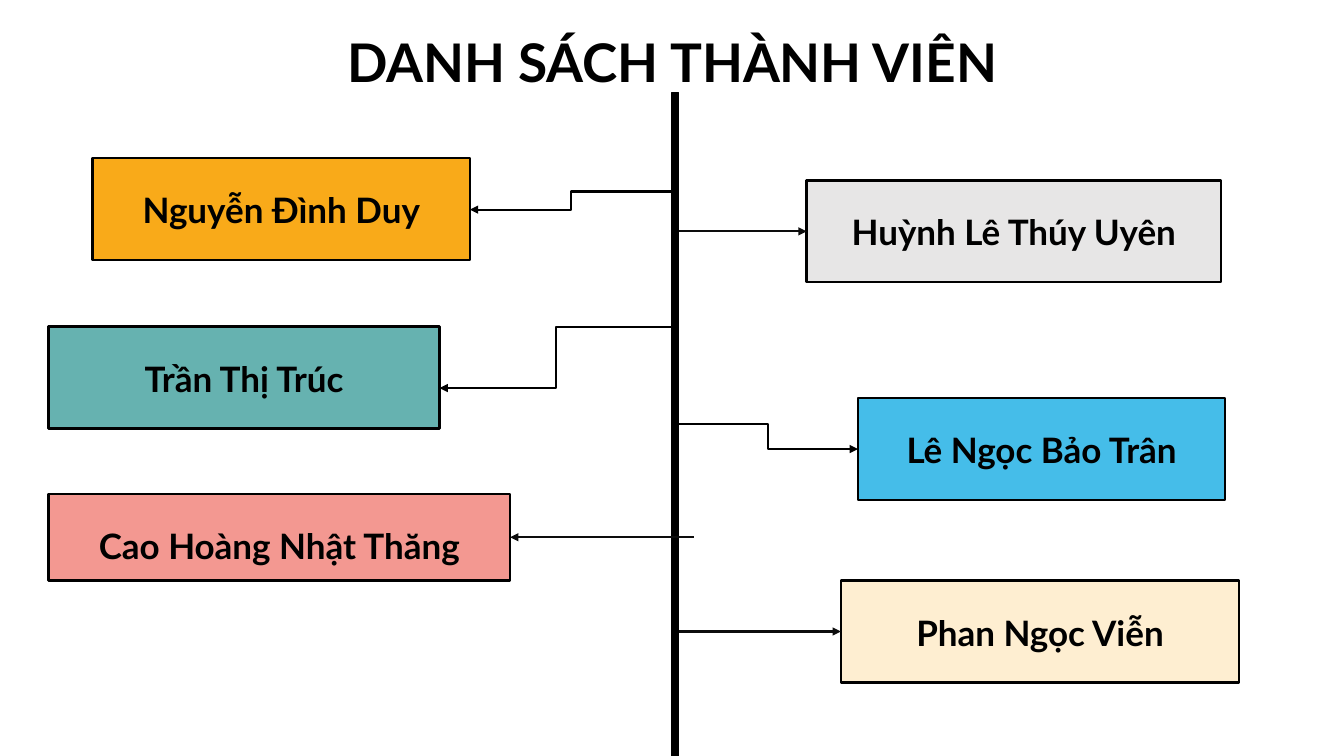
from dataclasses import dataclass

import pptx
import pptx.dml.color
import pptx.enum.shapes
import pptx.enum.text
import pptx.oxml
import pptx.oxml.ns
import pptx.util

SLIDE_WIDTH = pptx.util.Inches(13.33)
SLIDE_HEIGHT = pptx.util.Inches(7.5)
LEFT_SIDE, RIGHT_SIDE = 1, 3


@dataclass(frozen=True)
class Theme:
    font: str = "Lato"
    title_size: float = 38
    name_size: float = 25
    ink: str = "000000"
    straight_arrow: str = "0D0D0D"
    card_border: float = 1.75
    arrow_width: float = 1.5
    spine_border: float = 1
    line_spacing: float = 0.9


@dataclass(frozen=True)
class Member:
    """Card box in percent of the slide; bent arrows give both heights."""
    name: str
    fill: str
    box: tuple
    bent: tuple = ()
    start_x: float = 0


THEME = Theme()
TITLE_BOX = (6.9, -6.27, 86.27, 19.33)
SPINE_BOX = (50, 12.27, 0.5, 87.73)
CARD_HEIGHT = 13.47
BODY_MEMBER = Member("Lê Ngọc Bảo Trân", "45BDE9",
                     (63.84, 52.67, 27.31, CARD_HEIGHT), (56.13, 59.4))
MEMBERS = [
    Member("Trần Thị Trúc", "66B2B0", (3.6, 43.2, 29.11, CARD_HEIGHT), (43.2, 51.33)),
    Member("Cao Hoàng Nhật Thăng", "F39891", (3.6, 65.33, 34.36, 11.47), start_x=51.61),
    Member("Nguyễn Đình Duy", "F9AA19", (6.9, 20.93, 28.06, CARD_HEIGHT), (25.33, 27.73)),
    Member("Phan Ngọc Viễn", "FEEED1", (62.57, 76.8, 29.63, CARD_HEIGHT)),
    Member("Huỳnh Lê Thúy Uyên", "E7E6E6", (60.02, 23.87, 30.83, CARD_HEIGHT)),
]


def across(percent):
    return round(SLIDE_WIDTH * percent / 100)


def down(percent):
    return round(SLIDE_HEIGHT * percent / 100)


def place(box):
    left, top, width, height = box
    return across(left), down(top), across(width), down(height)


def move(placeholder, box):
    (placeholder.left, placeholder.top,
     placeholder.width, placeholder.height) = place(box)


def color(code):
    return pptx.dml.color.RGBColor.from_string(code)


def paint(shape, fill, border):
    shape.fill.solid()
    shape.fill.fore_color.rgb = color(fill)
    shape.line.color.rgb = color(THEME.ink)
    shape.line.width = pptx.util.Pt(border)


def write(shape, text, size, anchor):
    frame = shape.text_frame
    frame.text = text
    frame.word_wrap = True
    frame.auto_size = pptx.enum.text.MSO_AUTO_SIZE.NONE
    frame.vertical_anchor = anchor
    paragraph = frame.paragraphs[0]
    paragraph.alignment = pptx.enum.text.PP_ALIGN.CENTER
    paragraph.line_spacing = THEME.line_spacing
    paragraph.space_before = pptx.util.Pt(0)
    font = paragraph.runs[0].font
    font.name, font.size, font.bold = THEME.font, pptx.util.Pt(size), True
    font.color.rgb = color(THEME.ink)


def add_rectangle(slide, box):
    rectangle = slide.shapes.add_shape(
        pptx.enum.shapes.MSO_SHAPE.RECTANGLE, *place(box))
    rectangle.shadow.inherit = False
    return rectangle


def format_card(card, member):
    paint(card, member.fill, THEME.card_border)
    write(card, member.name, THEME.name_size, pptx.enum.text.MSO_ANCHOR.TOP)
    frame = card.text_frame
    frame.margin_left = frame.margin_right = frame.margin_bottom = 0
    frame.margin_top = pptx.util.Inches(0.35)


def remove_bullet(paragraph):
    properties = paragraph._p.get_or_add_pPr()
    properties.set("marL", "0")
    properties.set("indent", "0")
    properties.append(pptx.oxml.parse_xml(
        f'<a:buNone {pptx.oxml.ns.nsdecls("a")}/>'))


def add_arrow(slide, card, member):
    """Lead from the spine to the side of the card that faces it."""
    kinds = pptx.enum.shapes.MSO_CONNECTOR
    left, top, width, height = member.box
    spine_left, _, spine_width, _ = SPINE_BOX
    on_left = left < spine_left
    start_x = member.start_x or (spine_left if on_left else spine_left + spine_width)
    end_x = left + width if on_left else left
    middle = top + height / 2
    start_y, end_y = member.bent or (middle, middle)
    arrow = slide.shapes.add_connector(
        kinds.ELBOW if member.bent else kinds.STRAIGHT,
        across(start_x), down(start_y), across(end_x), down(end_y))
    if not member.bent:
        arrow.end_connect(card, RIGHT_SIDE if on_left else LEFT_SIDE)
    arrow.line.color.rgb = color(THEME.ink if member.bent else THEME.straight_arrow)
    arrow.line.width = pptx.util.Pt(THEME.arrow_width)
    namespace = pptx.oxml.ns.nsdecls("a")
    arrow.line._get_or_add_ln().append(
        pptx.oxml.parse_xml(f'<a:tailEnd {namespace} type="triangle"/>'))
    arrow._element.spPr.append(pptx.oxml.parse_xml(f"<a:effectLst {namespace}/>"))


def main():
    deck = pptx.Presentation()
    deck.slide_width, deck.slide_height = SLIDE_WIDTH, SLIDE_HEIGHT
    slide = deck.slides.add_slide(deck.slide_layouts[1])

    title = slide.shapes.title
    move(title, TITLE_BOX)
    write(title, "DANH SÁCH THÀNH VIÊN", THEME.title_size,
          pptx.enum.text.MSO_ANCHOR.BOTTOM)

    body = slide.placeholders[1]
    move(body, BODY_MEMBER.box)
    format_card(body, BODY_MEMBER)
    remove_bullet(body.text_frame.paragraphs[0])

    cards = [(body, BODY_MEMBER)]
    for member in MEMBERS:
        card = add_rectangle(slide, member.box)
        format_card(card, member)
        cards.append((card, member))

    paint(add_rectangle(slide, SPINE_BOX), THEME.ink, THEME.spine_border)
    for card, member in cards:
        add_arrow(slide, card, member)

    deck.save("out.pptx")


if __name__ == "__main__":
    main()
